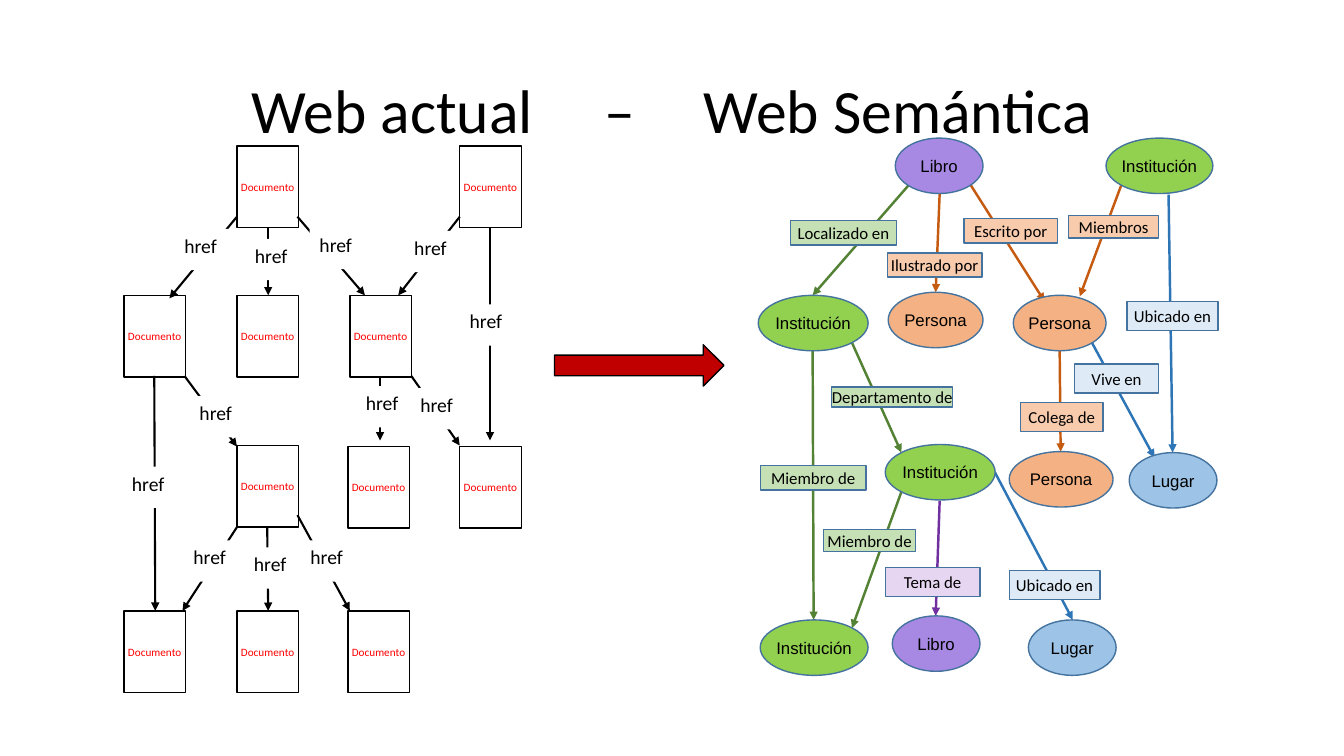
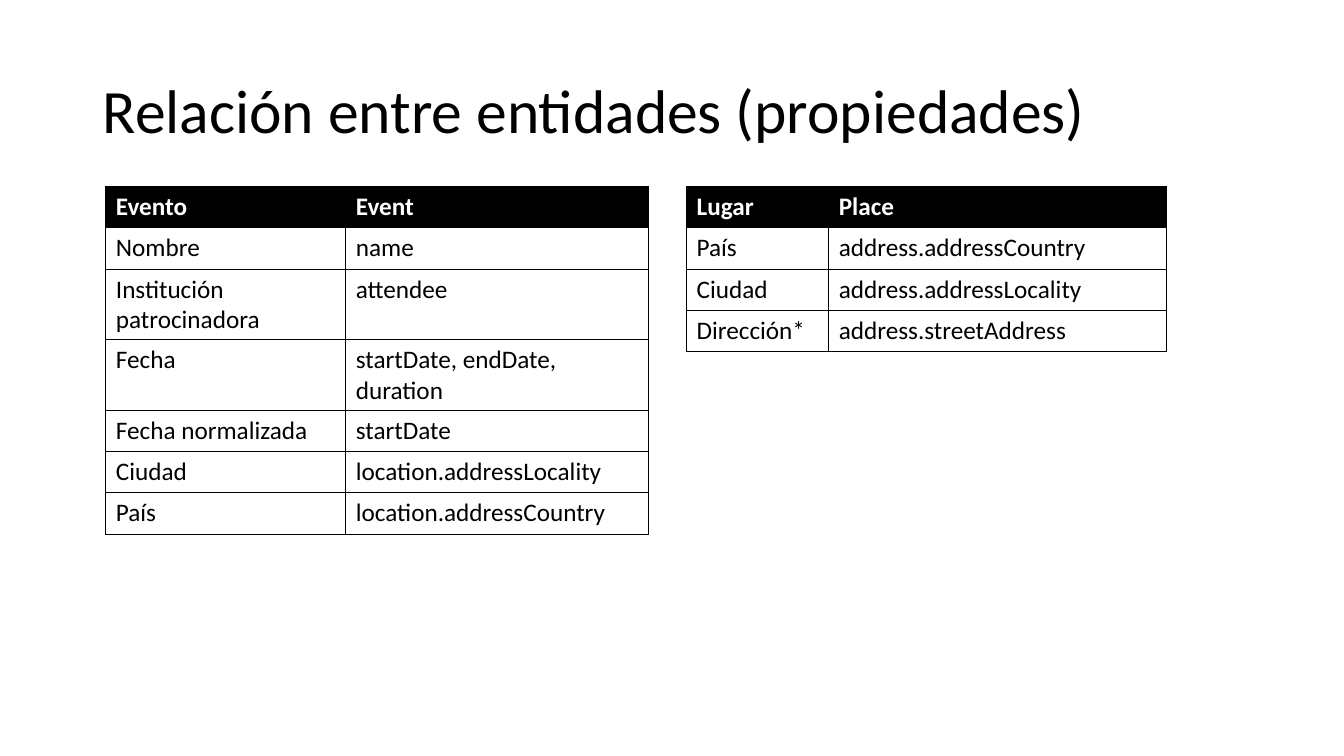
import pptx
import pptx.dml.color
import pptx.enum.shapes
import pptx.enum.text
import pptx.oxml
import pptx.oxml.ns
import pptx.util

KIND = pptx.enum.shapes.MSO_SHAPE
ALIGN = pptx.enum.text.PP_ALIGN
ANCHOR = pptx.enum.text.MSO_ANCHOR
SPACE = pptx.oxml.ns.nsdecls("a")

BLACK, WHITE, RED, EDGE = "000000", "FFFFFF", "FF0000", "43739E"
GREEN, BROWN, BLUE, PURPLE = "548235", "C55A11", "2E75B6", "7030A0"
LIME, PEACH, SKY, LILAC = "92D050", "F4B183", "9DC3E6", "A789E3"
MINT, ROSE, ICE, MAUVE = "C5E0B4", "F8CBAD", "DEEBF7", "E6D6F2"


def px(count):
    """One px is a hundredth of an inch."""
    return pptx.util.Emu(count * 9144)


def tint(code):
    return pptx.dml.color.RGBColor.from_string(code)


def apply(target, values):
    for name, value in values.items():
        setattr(target, name, value)


class Deck:
    # Shared style: font, paragraph and frame values of each kind of text
    fonts = {
        "title": {"name": "Calibri", "size": pptx.util.Pt(44)},
        "page": {"name": "Calibri", "size": pptx.util.Pt(8)},
        "href": {"name": "Calibri", "size": pptx.util.Pt(14)},
        "node": {"name": "Arial", "size": pptx.util.Pt(12)},
        "label": {"name": "Calibri", "size": pptx.util.Pt(12)},
        "head": {"name": "Calibri", "size": pptx.util.Pt(18), "bold": True},
        "cell": {"name": "Calibri", "size": pptx.util.Pt(18), "bold": False},
    }
    lines = {
        "title": {"alignment": ALIGN.LEFT, "line_spacing": 0.9},
        "href": {"alignment": ALIGN.LEFT},
        "mid": {"alignment": ALIGN.CENTER},
    }
    frames = {
        "title": {"word_wrap": True, "vertical_anchor": ANCHOR.MIDDLE},
        "href": {"word_wrap": True, "vertical_anchor": ANCHOR.TOP},
        "mid": {"word_wrap": False, "vertical_anchor": ANCHOR.MIDDLE,
                "margin_left": 0, "margin_right": 0,
                "margin_top": 0, "margin_bottom": 0},
    }

    def __init__(self):
        self.file = pptx.Presentation()
        apply(self.file, {"slide_width": px(1333), "slide_height": px(750)})
        self.slide = None

    def start(self):
        self.slide = self.file.slides.add_slide(self.file.slide_layouts[6])

    def text(self, frame, words, look, color=BLACK, form=None):
        if form:
            apply(frame, self.frames[form])
        para = frame.paragraphs[0]
        apply(para, self.lines.get(form, {}))
        run = para.add_run()
        run.text = words
        apply(run.font, self.fonts[look])
        run.font.color.rgb = tint(color)
        return para

    def title(self, words, inset=10, tabs=()):
        box = self.slide.shapes.add_textbox(px(92), px(40), px(1150), px(145))
        para = self.text(box.text_frame, words, "title", form="title")
        box.text_frame.margin_left = px(inset)
        if tabs:
            stops = "".join(f'<a:tab pos="{px(stop)}" algn="l"/>' for stop in tabs)
            para._p.get_or_add_pPr().append(
                pptx.oxml.parse_xml(f"<a:tabLst {SPACE}>{stops}</a:tabLst>"))

    def shape(self, kind, area, fill, edge=None):
        item = self.slide.shapes.add_shape(kind, *map(px, area))
        item.shadow.inherit = False
        item.fill.solid()
        item.fill.fore_color.rgb = tint(fill)
        if edge:
            item.line.color.rgb = tint(edge)
            item.line.width = pptx.util.Pt(1)
        else:
            item.line.fill.background()
        return item.text_frame

    def page(self, left, top):
        frame = self.shape(KIND.RECTANGLE, (left, top, 61, 81), WHITE, BLACK)
        self.text(frame, "Documento", "page", RED, "mid")

    def href(self, left, top):
        frame = self.shape(KIND.RECTANGLE, (left, top, 61, 41), WHITE)
        self.text(frame, "href", "href", form="href")

    def node(self, words, fill, left, top, width):
        frame = self.shape(KIND.OVAL, (left, top, width, 55), fill, EDGE)
        self.text(frame, words, "node", form="mid")

    def label(self, words, fill, *area):
        frame = self.shape(KIND.RECTANGLE, area, fill, EDGE)
        self.text(frame, words, "label", form="mid")

    def arrow(self, ends, color, width):
        item = self.slide.shapes.add_connector(
            pptx.enum.shapes.MSO_CONNECTOR.STRAIGHT, *map(px, ends))
        item.line.color.rgb = tint(color)
        item.line.width = pptx.util.Pt(width)
        item.line._get_or_add_ln().append(
            pptx.oxml.parse_xml(f'<a:tailEnd {SPACE} type="triangle"/>'))
        item._element.spPr.append(pptx.oxml.parse_xml(f"<a:effectLst {SPACE}/>"))

    def border(self, cell):
        props = cell._tc.get_or_add_tcPr()
        for side in "LRTB":
            props.append(pptx.oxml.parse_xml(
                f'<a:ln{side} {SPACE} w="9525"><a:solidFill>'
                f'<a:srgbClr val="{BLACK}"/></a:solidFill></a:ln{side}>'))

    def table(self, left, top, widths, rows):
        high = 41
        grid = self.slide.shapes.add_table(
            len(rows), len(widths), px(left), px(top),
            px(sum(widths)), px(high * len(rows))).table
        for column, width in zip(grid.columns, widths):
            column.width = px(width)
        for r, row in enumerate(rows):
            look, ink, fill = ("cell", BLACK, WHITE) if r else ("head", WHITE, BLACK)
            for c, words in enumerate(row):
                cell = grid.cell(r, c)
                self.border(cell)
                cell.fill.solid()
                cell.fill.fore_color.rgb = tint(fill)
                self.text(cell.text_frame, words, look, ink)


# Left graph: documents, plain links and their labels
PAGES = [
    (456, 145), (235, 145), (235, 293), (123, 293), (345, 606), (235, 606),
    (123, 606), (235, 442), (345, 443), (456, 443), (347, 293),
]
LINKS = [
    (235, 215, 168, 296), (295, 215, 362, 293), (266, 225, 266, 293),
    (456, 215, 395, 293), (486, 225, 486, 437), (183, 373, 235, 443),
    (153, 373, 154, 606), (235, 523, 181, 606), (265, 523, 266, 606),
    (295, 511, 347, 606), (377, 373, 377, 437), (408, 373, 456, 442),
]
HREFS = [
    (173, 227), (243, 237), (456, 302), (307, 226), (407, 385), (353, 383),
    (188, 393), (121, 463), (182, 536), (242, 543), (298, 536), (401, 229),
]

# Right graph: typed relations by colour, entities and relation names
BONDS = {
    GREEN: [(901, 184, 806, 293), (845, 340, 894, 449),
            (894, 488, 845, 623), (806, 348, 807, 615)],
    PURPLE: [(932, 497, 928, 611)],
    BLUE: [(987, 469, 1064, 615), (1159, 193, 1163, 449),
           (1083, 340, 1145, 454)],
    BROWN: [(932, 192, 928, 290), (963, 184, 1036, 299),
            (1112, 184, 1071, 294), (1051, 348, 1052, 448)],
}
NODES = {
    ("Libro", LILAC): [(888, 137, 87), (885, 611, 87)],
    ("Institución", LIME): [(754, 615, 107), (752, 293, 109),
                            (878, 441, 109), (1097, 137, 106)],
    ("Persona", PEACH): [(881, 290, 94), (1001, 448, 103), (1005, 293, 92)],
    ("Lugar", SKY): [(1120, 449, 87), (1020, 615, 87)],
}
LABELS = [
    ("Localizado en", MINT, 784, 219, 105, 24),
    ("Departamento de", MINT, 825, 384, 120, 20),
    ("Miembro de", MINT, 817, 525, 91, 22),
    ("Miembro de", MINT, 754, 462, 105, 24),
    ("Ilustrado por", ROSE, 880, 251, 94, 24),
    ("Miembros", ROSE, 1060, 214, 89, 22),
    ("Escrito por", ROSE, 956, 217, 93, 24),
    ("Colega de", ROSE, 1012, 399, 82, 29),
    ("Ubicado en", ICE, 1118, 299, 90, 29),
    ("Ubicado en", ICE, 1001, 566, 90, 29),
    ("Vive en", ICE, 1066, 361, 83, 29),
    ("Tema de", MAUVE, 878, 563, 94, 29),
]

EVENT = [
    ("Evento", "Event"),
    ("Nombre", "name"),
    ("Institución patrocinadora", "attendee"),
    ("Fecha", "startDate, endDate, duration"),
    ("Fecha normalizada", "startDate"),
    ("Ciudad", "location.addressLocality"),
    ("País", "location.addressCountry"),
]
PLACE = [
    ("Lugar", "Place"),
    ("País", "address.addressCountry"),
    ("Ciudad", "address.addressLocality"),
    ("Dirección*", "address.streetAddress"),
]


def main():
    deck = Deck()

    # Slide 1: from linked documents to linked entities
    deck.start()
    deck.title("Web actual\t–\tWeb Semántica", inset=157, tabs=(351, 449))
    deck.shape(KIND.RIGHT_ARROW, (550, 342, 168, 41), "C00000", BLACK)
    for spot in PAGES:
        deck.page(*spot)
    for ends in LINKS:
        deck.arrow(ends, BLACK, 1.5)
    for spot in HREFS:
        deck.href(*spot)
    for color, bonds in BONDS.items():
        for ends in bonds:
            deck.arrow(ends, color, 1.75)
    for (name, fill), spots in NODES.items():
        for spot in spots:
            deck.node(name, fill, *spot)
    for label in LABELS:
        deck.label(*label)

    # Slide 2: property tables
    deck.start()
    deck.title("Relación entre entidades (propiedades)")
    deck.table(105, 185, (238, 300), EVENT)
    deck.table(681, 185, (141, 335), PLACE)

    deck.file.save("out.pptx")


if __name__ == "__main__":
    main()
